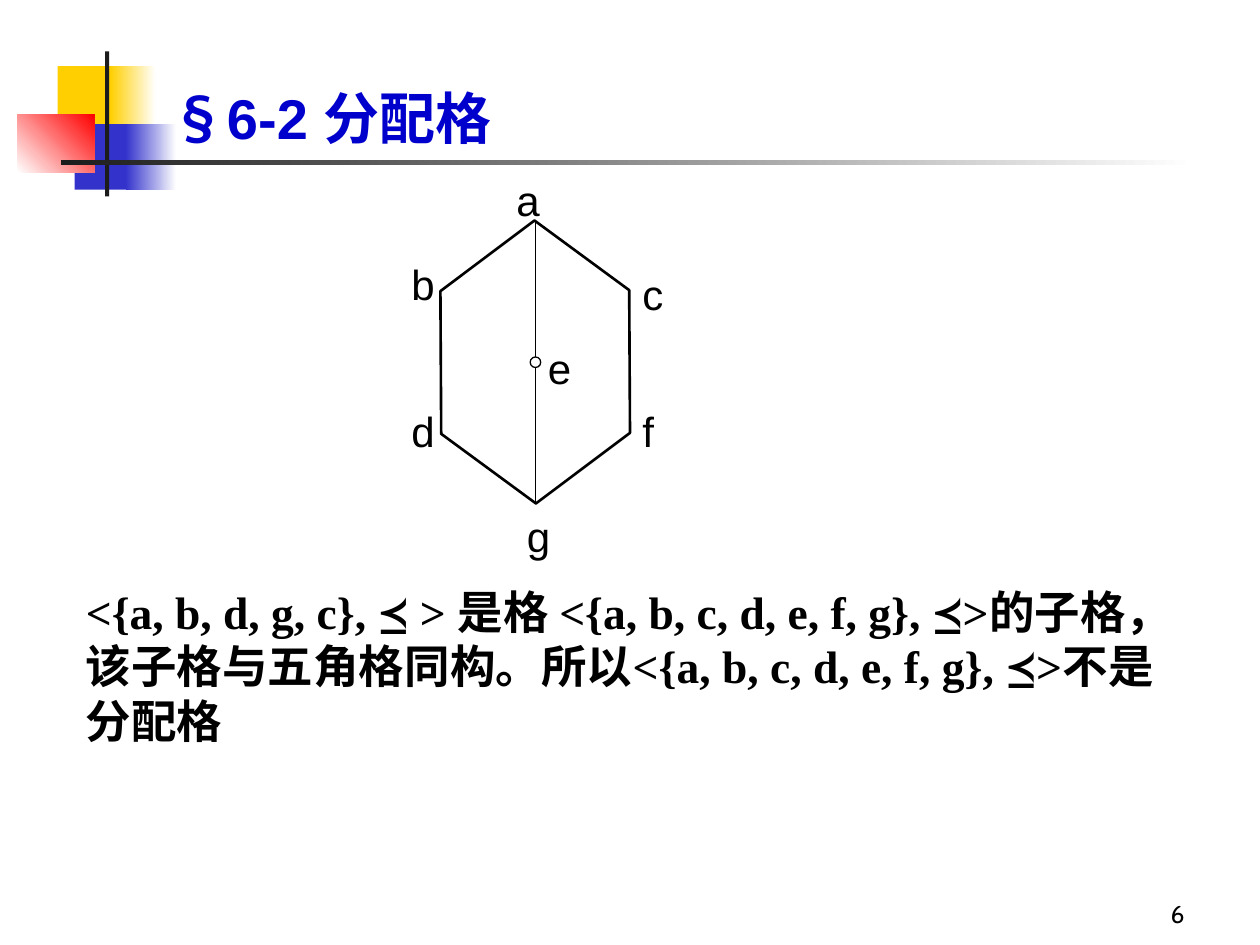
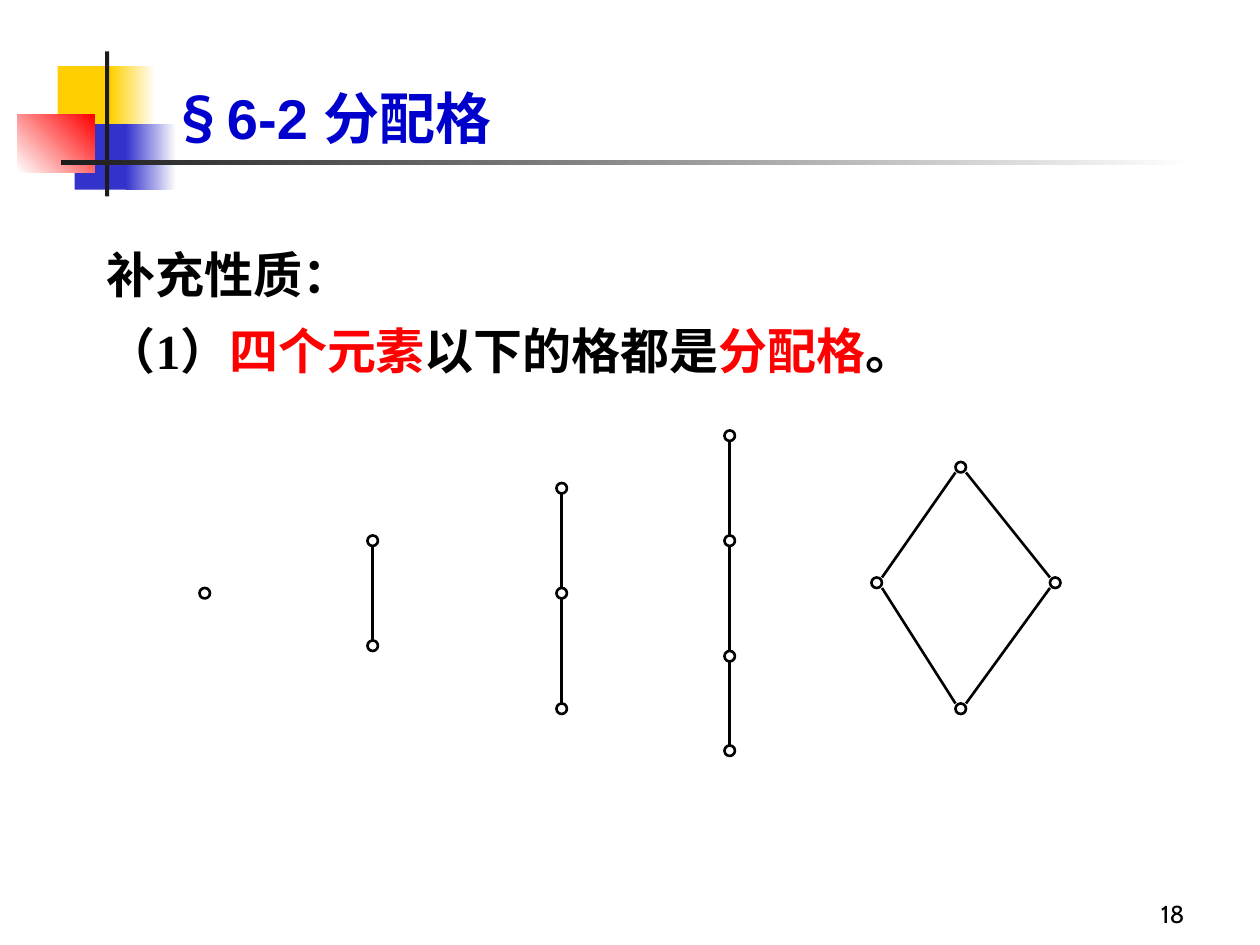
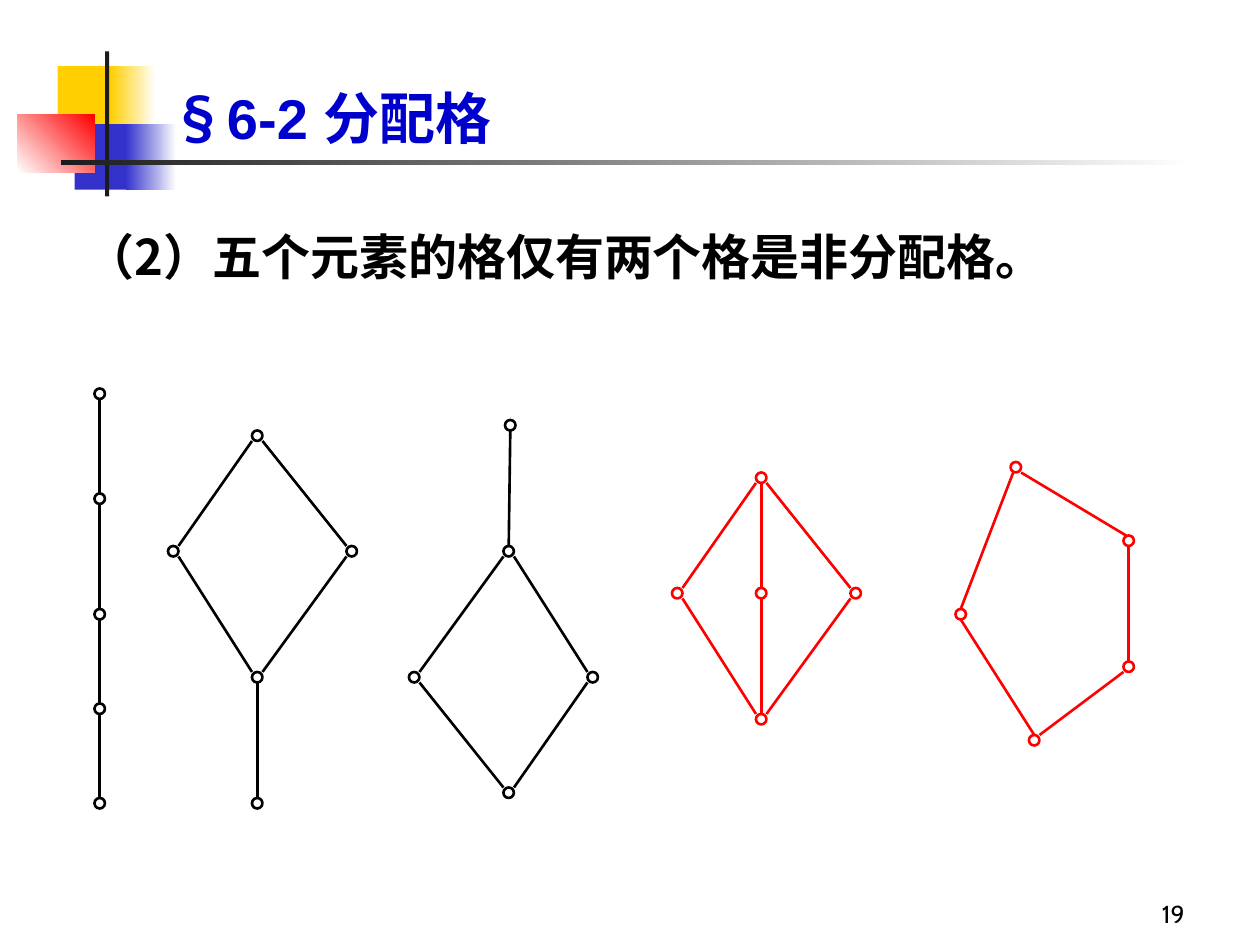
from dataclasses import dataclass
from itertools import pairwise

from lxml import etree
from pptx import Presentation
from pptx.dml.color import RGBColor
from pptx.enum.shapes import MSO_CONNECTOR, MSO_SHAPE
from pptx.enum.text import MSO_ANCHOR, MSO_AUTO_SIZE, PP_ALIGN
from pptx.oxml.ns import qn
from pptx.util import Emu, Inches, Pt

RECTANGLE, OVAL, HEXAGON = MSO_SHAPE.RECTANGLE, MSO_SHAPE.OVAL, MSO_SHAPE.HEXAGON
STRAIGHT = MSO_CONNECTOR.STRAIGHT
TOP, BOTTOM = MSO_ANCHOR.TOP, MSO_ANCHOR.BOTTOM
LEFT, RIGHT = PP_ALIGN.LEFT, PP_ALIGN.RIGHT
TITLE_ONLY = 5
WIDTH, HEIGHT = Inches(10), Inches(7.5)
COLUMNS, ROWS = 120, 90


@dataclass(frozen=True)
class Theme:
    """Colours, fonts, type sizes and line weights."""
    black: str = "000000"
    white: str = "FFFFFF"
    red: str = "FF0000"
    yellow: str = "FFCF01"
    blue: str = "3333CC"
    bar: str = "1C1C1C"
    title: str = "0000CC"
    sans: str = "Arial"
    serif: str = "Times New Roman"
    chinese: str = "Noto Sans CJK SC"
    number: str = "Cabin"
    title_size: float = 32
    point_size: float = 28
    body_size: float = 26
    label_size: float = 24
    number_size: float = 14
    thick: float = 1.5
    thin: float = 0.75


THEME = Theme()


@dataclass(frozen=True)
class Area:
    """A rectangle in columns and rows of the slide grid."""
    column: float
    row: float
    columns: float
    rows: float

    def box(self) -> tuple[Emu, Emu, Emu, Emu]:
        """Return left, top, width and height."""
        return across(self.column), down(self.row), across(self.columns), down(self.rows)


@dataclass(frozen=True)
class Block:
    """A filled piece of the title ornament, fading when it has an end colour."""
    area: Area
    start: str
    end: str = ""
    angle: float = 0


@dataclass(frozen=True)
class Span:
    """A stretch of text in one style."""
    text: str
    size: float
    font: str
    color: str = THEME.black
    bold: bool = True


@dataclass(frozen=True)
class Edge:
    """A line between two nodes, its ends set sideways by a share of a cell."""
    upper: int
    lower: int
    start: float = 0.5
    finish: float = 0.5


@dataclass(frozen=True)
class Lattice:
    """Nodes as grid cells, and the edges between them."""
    nodes: tuple[tuple[float, float], ...]
    edges: tuple[Edge, ...]
    color: str = THEME.black


ORNAMENT = (
    Block(Area(5.5, 6.3, 5.76, 6.24), THEME.yellow),
    Block(Area(10.5, 6.3, 4.32, 6.24), THEME.yellow, THEME.white),
    Block(Area(7.12, 11.82, 5.52, 6.24), THEME.blue),
    Block(Area(12, 11.82, 4.8, 6.24), THEME.blue, THEME.white),
    Block(Area(1.68, 10.92, 7.32, 5.52), THEME.white, THEME.red, 45),
    Block(Area(10, 4.9, 0.4, 13.8), THEME.bar),
    Block(Area(5.82, 15.24, 108, 0.5), THEME.bar, THEME.white),
)
TITLE_AREA = Area(15.08, 0, 102.24, 15)
NUMBER_AREA = Area(89, 83, 25, 6)
TITLE = (
    Span("§", THEME.title_size, THEME.chinese, THEME.title),
    Span("6-2 ", THEME.title_size, THEME.sans, THEME.title),
    Span("分配格", THEME.title_size, THEME.chinese, THEME.title),
)
LABELS = {"a": (48, 16), "b": (38, 24), "c": (60, 25), "d": (38, 38),
          "f": (60, 38), "g": (49, 48), "e": (51, 32)}
KITE_EDGES = (Edge(0, 1), Edge(0, 2), Edge(1, 3), Edge(2, 3))


def across(columns: float) -> Emu:
    """Turn columns into a length."""
    return Emu(round(WIDTH * columns / COLUMNS))


def down(rows: float) -> Emu:
    """Turn rows into a length."""
    return Emu(round(HEIGHT * rows / ROWS))


def write(frame, paragraphs, anchor=TOP, align=LEFT, spacing=1.0) -> None:
    """Fill a text frame with unkerned paragraphs whose punctuation stays inside."""
    frame.word_wrap = True
    frame.auto_size = MSO_AUTO_SIZE.NONE
    frame.vertical_anchor = anchor
    for index, spans in enumerate(paragraphs):
        para = frame.add_paragraph() if index else frame.paragraphs[0]
        para.alignment = align
        para.line_spacing = spacing
        para.space_before = Pt(0)
        para._p.get_or_add_pPr().set("hangingPunct", "0")
        for span in spans:
            run = para.add_run()
            run.text = span.text
            run.font.size = Pt(span.size)
            run.font.bold = span.bold
            run.font.name = span.font
            run.font.color.rgb = RGBColor.from_string(span.color)
            properties = run._r.get_or_add_rPr()
            properties.set("kern", "0")
            etree.SubElement(properties, qn("a:ea")).set("typeface", THEME.chinese)


def add_text(page, area: Area, *paragraphs: tuple[Span, ...], **style) -> None:
    """Add a text box."""
    write(page.shapes.add_textbox(*area.box()).text_frame, paragraphs, **style)


def add_block(page, block: Block) -> None:
    """Add a plain or fading rectangle without an outline."""
    shape = page.shapes.add_shape(RECTANGLE, *block.area.box())
    shape.shadow.inherit = False
    shape.line.fill.background()
    if not block.end:
        shape.fill.solid()
        shape.fill.fore_color.rgb = RGBColor.from_string(block.start)
        return
    shape.fill.gradient()
    shape.fill.gradient_angle = block.angle
    for stop, color in zip(shape.fill.gradient_stops, (block.start, block.end)):
        stop.color.rgb = RGBColor.from_string(color)


def set_line(shape, color: str, weight: float) -> None:
    """Colour and weigh the line of a shape or connector."""
    shape.line.color.rgb = RGBColor.from_string(color)
    shape.line.width = Pt(weight)


def add_outline(page, kind, area: Area, color: str, weight: float):
    """Add a hollow preset shape."""
    shape = page.shapes.add_shape(kind, *area.box())
    shape.shadow.inherit = False
    shape.fill.background()
    set_line(shape, color, weight)
    return shape


def add_link(page, start, finish, color: str, weight: float) -> None:
    """Add a straight line between two grid points."""
    link = page.shapes.add_connector(STRAIGHT, across(start[0]), down(start[1]),
                                     across(finish[0]), down(finish[1]))
    set_line(link, color, weight)
    etree.SubElement(link._element.spPr, qn("a:effectLst"))


def chain(column: float, *rows: float) -> Lattice:
    """Return a vertical chain of nodes."""
    links = pairwise(range(len(rows)))
    return Lattice(tuple((column, row) for row in rows), tuple(Edge(*pair) for pair in links))


def kite(column: float, row: float, turn: int = 1, extra=(), edges=(),
         color: str = THEME.black) -> Lattice:
    """Return a four-node kite from its near tip, upside down when turn is -1."""
    offsets = ((0, 0), (9, 11), (-8, 11), (0, 23))
    nodes = tuple((column + turn * x, row + turn * y) for x, y in offsets)
    return Lattice(nodes + tuple(extra), KITE_EDGES + tuple(edges), color)


def add_lattice(page, lattice: Lattice) -> None:
    """Draw the nodes of a lattice and join them."""
    for column, row in lattice.nodes:
        add_outline(page, OVAL, Area(column, row, 1, 1), lattice.color, THEME.thick)
    for edge in lattice.edges:
        ends = (lattice.nodes[edge.upper], lattice.nodes[edge.lower])
        upper, lower = sorted(ends, key=lambda node: node[1])
        gap = lower[0] - upper[0]
        side = 0 if abs(gap) < 1 else (1 if gap > 0 else -1)
        add_link(page, (upper[0] + 0.5 + side * edge.start, upper[1] + 1),
                 (lower[0] + 0.5 - side * edge.finish, lower[1]),
                 lattice.color, THEME.thick)


def add_page(deck, number: int):
    """Add a slide with the ornament, title and page number."""
    page = deck.slides.add_slide(deck.slide_layouts[TITLE_ONLY])
    for block in ORNAMENT:
        add_block(page, block)
    title = page.shapes.title
    title.left, title.top, title.width, title.height = TITLE_AREA.box()
    write(title.text_frame, [TITLE], anchor=BOTTOM)
    label = Span(str(number), THEME.number_size, THEME.number, bold=False)
    add_text(page, NUMBER_AREA, (label,), anchor=BOTTOM, align=RIGHT)
    return page


def sublattice_page(deck) -> None:
    """Show the seven-element lattice and its sublattice."""
    page = add_page(deck, 6)
    hexagon = add_outline(page, HEXAGON, Area(37.5, 25.45, 26.95, 18.05),
                          THEME.black, THEME.thick)
    hexagon.rotation = 269.7
    hexagon.adjustments[0] = 0.37
    hexagon.adjustments[1] = 1.15
    for letter, (column, row) in LABELS.items():
        label = Span(letter, THEME.label_size, THEME.sans, bold=False)
        add_text(page, Area(column, row, 6, 6), (label,))
    add_outline(page, OVAL, Area(50.5, 34, 1, 1), THEME.black, THEME.thin)
    for top, bottom in ((21, 34), (35, 48)):
        add_link(page, (51, top), (51, bottom), THEME.black, THEME.thin)
    statement = ("<{a, b, d, g, c}, ≼ > 是格 <{a, b, c, d, e, f, g}, ≼>的子格，"
                 "该子格与五角格同构。所以<{a, b, c, d, e, f, g}, ≼>不是分配格")
    add_text(page, Area(7, 55, 108, 16.8), (Span(statement, THEME.body_size, THEME.serif),))


def small_lattices_page(deck) -> None:
    """Show the lattices of up to four elements."""
    page = add_page(deck, 18)
    pieces = (("（1）", THEME.black), ("四个元素", THEME.red), ("以下的格都是", THEME.black),
              ("分配格", THEME.red), ("。", THEME.black))
    heading = (Span("补充性质：", THEME.point_size, THEME.serif),)
    point = tuple(Span(text, THEME.point_size, THEME.serif, color) for text, color in pieces)
    add_text(page, Area(9, 21, 100, 15.8), heading, point, spacing=1.3)
    for lattice in (chain(19, 56), chain(35, 51, 61), chain(53, 46, 56, 67),
                    chain(69, 41, 51, 62, 71), kite(91, 44)):
        add_lattice(page, lattice)


def five_elements_page(deck) -> None:
    """Show the five lattices of five elements."""
    page = add_page(deck, 19)
    point = Span("（2）五个元素的格仅有两个格是非分配格。", THEME.point_size, THEME.chinese)
    add_text(page, Area(7, 21, 101, 6.8), (point,))
    tail = (Edge(3, 4),)
    pentagon = Lattice(
        ((96.25, 44), (107, 51), (91, 58), (107, 63), (98, 70)),
        (Edge(0, 2, 0.25, 0), Edge(1, 3), Edge(3, 4), Edge(0, 1, 0.5, 0.25), Edge(2, 4, 0, 0)),
        THEME.red)
    for lattice in (chain(9, 37, 47, 58, 67, 76),
                    kite(24, 41, extra=((24, 76),), edges=tail),
                    kite(47.95, 75, -1, extra=((48.1, 40),), edges=tail),
                    pentagon,
                    kite(72, 45, extra=((72, 56),), edges=(Edge(0, 4), Edge(4, 3)),
                         color=THEME.red)):
        add_lattice(page, lattice)


def main() -> None:
    """Build and save the deck."""
    deck = Presentation()
    deck.slide_width, deck.slide_height = WIDTH, HEIGHT
    for build in (sublattice_page, small_lattices_page, five_elements_page):
        build(deck)
    deck.save("out.pptx")


if __name__ == "__main__":
    main()
